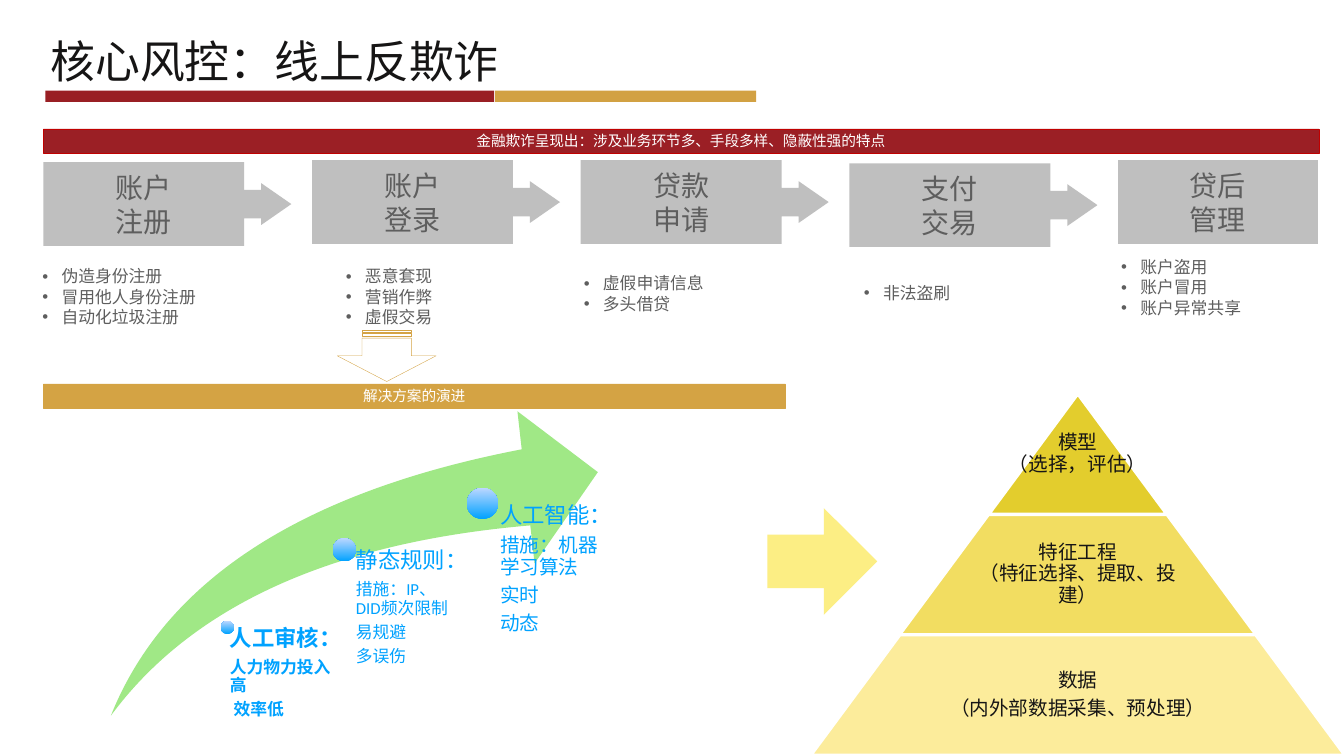
from copy import deepcopy

from lxml import etree
from pptx import Presentation
from pptx.dml.color import RGBColor
from pptx.enum.shapes import MSO_SHAPE
from pptx.enum.text import MSO_ANCHOR, MSO_AUTO_SIZE, PP_ALIGN
from pptx.oxml.ns import qn
from pptx.util import Inches, Pt

COLORS = {
    "red": "991F24", "banner": "9B1F25", "banner edge": "C00000",
    "gold": "D2A143", "ochre": "D4A344", "gray": "BFBFBF", "text": "5E5E5E",
    "black": "161515", "white": "FFFFFF", "green": "A0E886",
    "blue": "00A2FF", "pale blue": "BDD7FF", "yellow": "FCEE84",
    "top": "E3CD2D", "middle": "F2DD61", "base": "FCEC9B",
}

presentation = Presentation()
presentation.slide_width = Inches(13.33)
presentation.slide_height = Inches(7.5)
slide = presentation.slides.add_slide(presentation.slide_layouts[4])


def add_figure(kind, box, fill=None, line=None, width=0.25):
    shape = slide.shapes.add_shape(kind, *map(Inches, box))
    shape.shadow.inherit = False
    if fill:
        shape.fill.solid()
        shape.fill.fore_color.rgb = RGBColor.from_string(COLORS[fill])
    else:
        shape.fill.background()
    if line:
        shape.line.color.rgb = RGBColor.from_string(COLORS[line])
        shape.line.width = Pt(width)
    else:
        shape.line.fill.background()
    return shape


def write(shape, texts, sizes, color, font="Calibri", bold=False, bullet=False,
          insets=(0.1, 0.05, 0.1, 0.05), anchor=MSO_ANCHOR.TOP, wrap=True, **layout):
    frame = shape.text_frame
    left, top, right, bottom = map(Inches, insets)
    frame_format = {
        "auto_size": MSO_AUTO_SIZE.NONE, "word_wrap": wrap, "vertical_anchor": anchor,
        "margin_left": left, "margin_top": top,
        "margin_right": right, "margin_bottom": bottom,
    }
    for name, value in frame_format.items():
        setattr(frame, name, value)
    for index, (text, size) in enumerate(zip(texts, sizes)):
        paragraph = frame.add_paragraph() if index else frame.paragraphs[0]
        paragraph.text = text
        paragraph_format = {"alignment": PP_ALIGN.LEFT, "space_before": Pt(0), **layout}
        if "line_spacing" in layout:
            paragraph_format["space_after"] = Pt(0.35 * size)
        for name, value in paragraph_format.items():
            setattr(paragraph, name, value)
        if bullet:
            properties = paragraph._p.get_or_add_pPr()
            properties.set("marL", str(Inches(0.19)))
            properties.set("indent", str(Inches(-0.19)))
            etree.SubElement(properties, qn("a:buFont")).set("typeface", "Arial")
            etree.SubElement(properties, qn("a:buChar")).set("char", "•")
        for run in paragraph.runs:
            for name, value in {"name": font, "size": Pt(size), "bold": bold}.items():
                setattr(run.font, name, value)
            run.font.color.rgb = RGBColor.from_string(COLORS[color])
        # Line breaks take the size of the text around them
        for line_break in paragraph._p.findall(qn("a:br")):
            line_break.append(deepcopy(paragraph.runs[0]._r.rPr))


centered = {"anchor": MSO_ANCHOR.MIDDLE, "alignment": PP_ALIGN.CENTER}
thin = (0.03,) * 4

# Title and its two-colour underline
title = slide.shapes.title
title.left, title.top, title.width, title.height = map(Inches, (0.45, 0.3, 4.55, 0.6))
write(title, ["核心风控：线上反欺诈"], [32], "black", "Noto Sans CJK SC",
      insets=thin, wrap=False, **centered)
add_figure(MSO_SHAPE.RECTANGLE, (0.45, 0.9, 4.45, 0.11), "red")
add_figure(MSO_SHAPE.RECTANGLE, (4.91, 0.9, 2.59, 0.11), "gold")

# Business steps
steps = [("账户", "注册", 1.61), ("账户", "登录", 1.59), ("贷款", "申请", 1.59),
         ("支付", "交易", 1.62), ("贷后", "管理", 1.59)]
for index, (first, second, top) in enumerate(steps):
    left = 0.43 + index * 10.66 / 4
    if index < 4:
        step = add_figure(MSO_SHAPE.RIGHT_ARROW_CALLOUT, (left, top, 2.46, 0.83), "gray")
        for position, value in enumerate((0.34, 0.25, 0.36, 0.81)):
            step.adjustments[position] = value
    else:
        step = add_figure(MSO_SHAPE.RECTANGLE, (left, top, 1.98, 0.83), "gray")
    write(step, [first, second], [20, 20], "text", **centered)

# Fraud types under each step
fraud_lists = [
    ((0.32, 2.59, 1.77, 0.71), ["伪造身份注册", "冒用他人身份注册", "自动化垃圾注册"]),
    ((3.33, 2.59, 1.83, 0.71), ["恶意套现", "营销作弊", "虚假交易"]),
    ((5.69, 2.66, 1.92, 0.5), ["虚假申请信息", "多头借贷"]),
    ((11.02, 2.5, 1.49, 0.71), ["账户盗用", "账户冒用", "账户异常共享"]),
]
for number, (box, items) in enumerate(fraud_lists, 1):
    body = slide.placeholders[number]
    body.left, body.top, body.width, body.height = map(Inches, box)
    write(body, items, [12] * len(items), "text", bullet=True)
payment_fraud = slide.shapes.add_textbox(*map(Inches, (8.47, 2.76, 1.06, 0.3)))
write(payment_fraud, ["非法盗刷"], [12], "text", bullet=True, wrap=False)

# Banners and the arrow between them
down_arrow = add_figure(MSO_SHAPE.STRIPED_RIGHT_ARROW, (3.58, 3.04, 0.51, 0.98), line="ochre")
down_arrow.rotation = 90
banners = [
    ((0.43, 1.28, 12.65, 0.24), "banner", "banner edge",
     "金融欺诈呈现出：涉及业务环节多、手段多样、隐蔽性强的特点"),
    ((0.43, 3.81, 7.36, 0.24), "ochre", "ochre", "解决方案的演进"),
]
for box, fill, line, text in banners:
    banner = add_figure(MSO_SHAPE.RECTANGLE, box, fill, line)
    write(banner, [text], [10.5], "white", "Roboto", insets=thin, **centered)

# Evolution of the solutions along the swoosh
swoosh = add_figure(MSO_SHAPE.SWOOSH_ARROW, (1.1, 4.08, 4.83, 3.02), "green")
for position in range(2):
    swoosh.adjustments[position] = 0.25
stages = [
    ((2.19, 6.16, 0.13), (2.21, 6.22, 1.2, 0.87), 0.07, 12, True,
     ["人工审核：", "人力物力投入高", " 效率低"]),
    ((3.3, 5.34, 0.23), (3.41, 5.45, 1.16, 1.64), 0.12, 12, False,
     ["静态规则：", "措施：IP、DID频次限制", "易规避", "多误伤"]),
    ((4.63, 4.84, 0.31), (4.79, 5, 1.16, 2.1), 0.17, 14, False,
     ["人工智能：", "措施：机器学习算法", "实时", "动态"]),
]
for (left, top, diameter), box, inset, size, bold, texts in stages:
    dot = add_figure(MSO_SHAPE.OVAL, (left, top, diameter, diameter))
    dot.fill.gradient()
    dot.fill.gradient_angle = 90
    for stop, color in zip(dot.fill.gradient_stops, ("blue", "pale blue")):
        stop.color.rgb = RGBColor.from_string(COLORS[color])
    stage = slide.shapes.add_textbox(*map(Inches, box))
    write(stage, texts, [16] + [size] * (len(texts) - 1), "blue", bold=bold,
          insets=(inset, 0, 0, 0), line_spacing=0.9)

# Pyramid
levels = [
    ("top", 1.76, 1.76, ["模型\n（选择，评估）"]),
    ("middle", 3.53, 2.29, ["特征工程\n（特征选择、提取、投建）"]),
    ("base", 5.29, 3.44, ["数据", "（内外部数据采集、预处理）"]),
]
for index, (fill, width, text_width, texts) in enumerate(levels):
    top = 3.91 + index * 1.195
    level = add_figure(MSO_SHAPE.TRAPEZOID, (10.69 - width / 2, top, width, 1.19),
                       fill, "white", 2)
    level.adjustments[0] = 0.74
    label = slide.shapes.add_textbox(
        *map(Inches, (10.69 - text_width / 2, top, text_width, 1.19)))
    write(label, texts, [14] * len(texts), "black", insets=(0.02,) * 4,
          line_spacing=0.9, **centered)

# Arrow to the pyramid
add_figure(MSO_SHAPE.RIGHT_ARROW, (7.61, 5.04, 1.09, 1.06), "yellow")

presentation.save("out.pptx")
